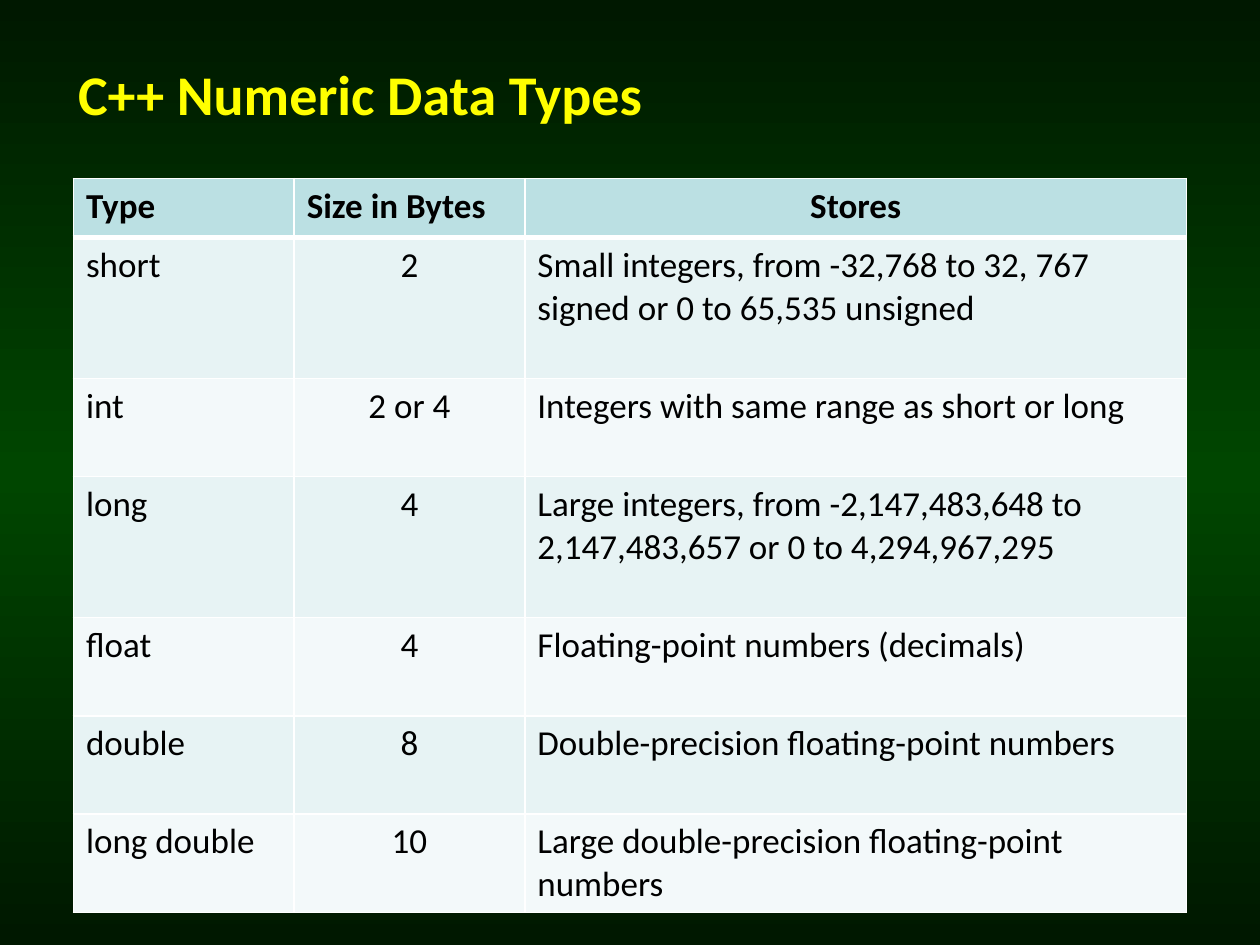
import copy
import dataclasses

import lxml.etree
import pptx
import pptx.dml.color
import pptx.enum.text
import pptx.oxml.ns
import pptx.slide
import pptx.table
import pptx.text.text
import pptx.util

Cm = pptx.util.Cm
Pt = pptx.util.Pt
RGB = pptx.dml.color.RGBColor.from_string
LEFT = pptx.enum.text.PP_ALIGN.LEFT
CENTER = pptx.enum.text.PP_ALIGN.CENTER


@dataclasses.dataclass(frozen=True)
class Theme:
    font: str = "Calibri"
    title_size: int = 32
    table_size: int = 20
    title: str = "FFFF00"
    text: str = "000000"
    header: str = "BBE0E3"
    bands: tuple[str, str] = ("E7F3F4", "F3F9FA")
    border: str = "FFFFFF"
    border_width: int = 1
    header_rule_width: int = 3
    backdrop: tuple[str, str, str] = ("001800", "004600", "001800")


@dataclasses.dataclass(frozen=True)
class DataType:
    name: str
    size: str
    stores: tuple[str, ...]
    height: float = 1.98


THEME = Theme()
HEADINGS = (("Type", LEFT), ("Size in Bytes", LEFT), ("Stores", CENTER))
HEADER_HEIGHT = 1.19
COLUMN_WIDTHS = (4.45, 4.65, 13.34)
DATA_TYPES = (
    DataType("short", "2",
             ("Small integers, from -32,768 to 32, 767 signed or 0 to 65,535 unsigned",), 2.84),
    DataType("int", "2 or 4", ("Integers with same range as short or long",)),
    DataType("long", "4",
             ("Large integers, from -2,147,483,648 to",
              "2,147,483,657 or 0 to 4,294,967,295"), 2.84),
    DataType("float", "4", ("Floating-point numbers (decimals)",)),
    DataType("double", "8", ("Double-precision floating-point numbers",)),
    DataType("long double", "10", ("Large double-precision floating-point numbers",)),
)


def write(frame: pptx.text.text.TextFrame, lines: tuple[str, ...], size: int,
          color: str, bold: bool, align: pptx.enum.text.PP_ALIGN) -> None:
    for index, line in enumerate(lines):
        paragraph = frame.add_paragraph() if index else frame.paragraphs[0]
        paragraph.alignment = align
        run = paragraph.add_run()
        run.text = line
        run.font.name = THEME.font
        run.font.size = Pt(size)
        run.font.bold = bold
        run.font.color.rgb = RGB(color)


def paint_backdrop(slide: pptx.slide.Slide) -> None:
    fill = slide.background.fill
    fill.gradient()
    fill.gradient_angle = 90
    stops = next(slide.element.iter(pptx.oxml.ns.qn("a:gsLst")))
    stops.append(copy.deepcopy(stops[-1]))
    for stop, color, position in zip(fill.gradient_stops, THEME.backdrop, (0, 0.5, 1)):
        stop.color.rgb = RGB(color)
        stop.position = position


def add_border(cell: pptx.table._Cell, side: str, width: int) -> None:
    qn = pptx.oxml.ns.qn
    properties = cell._tc.get_or_add_tcPr()
    line = lxml.etree.SubElement(properties, qn(f"a:ln{side}"), w=str(Pt(width)))
    solid = lxml.etree.SubElement(line, qn("a:solidFill"))
    lxml.etree.SubElement(solid, qn("a:srgbClr"), val=THEME.border)


def fill_cell(cell: pptx.table._Cell, lines: tuple[str, ...], row: int,
              align: pptx.enum.text.PP_ALIGN) -> None:
    is_header = row == 0
    write(cell.text_frame, lines, THEME.table_size, THEME.text, is_header, align)
    for side in "LRTB":
        on_header_rule = (row, side) in ((0, "B"), (1, "T"))
        add_border(cell, side, THEME.header_rule_width if on_header_rule else THEME.border_width)
    cell.fill.solid()
    cell.fill.fore_color.rgb = RGB(THEME.header if is_header else THEME.bands[(row - 1) % 2])


def add_title(slide: pptx.slide.Slide) -> None:
    frame = slide.shapes.add_textbox(Cm(1.27), Cm(1.07), Cm(11.99), Cm(1.62)).text_frame
    frame.word_wrap = False
    frame.auto_size = pptx.enum.text.MSO_AUTO_SIZE.SHAPE_TO_FIT_TEXT
    write(frame, ("C++ Numeric Data Types",), THEME.title_size, THEME.title, True, CENTER)


def add_type_table(slide: pptx.slide.Slide) -> None:
    heights = (HEADER_HEIGHT, *(data_type.height for data_type in DATA_TYPES))
    table = slide.shapes.add_table(
        len(heights), len(COLUMN_WIDTHS), Cm(1.48), Cm(3.6),
        Cm(sum(COLUMN_WIDTHS)), Cm(sum(heights))).table
    for column, width in zip(table.columns, COLUMN_WIDTHS):
        column.width = Cm(width)
    for table_row, height in zip(table.rows, heights):
        table_row.height = Cm(height)
    for column, (heading, align) in enumerate(HEADINGS):
        fill_cell(table.cell(0, column), (heading,), 0, align)
    for row, data_type in enumerate(DATA_TYPES, start=1):
        fill_cell(table.cell(row, 0), (data_type.name,), row, LEFT)
        fill_cell(table.cell(row, 1), (data_type.size,), row, CENTER)
        fill_cell(table.cell(row, 2), data_type.stores, row, LEFT)


def main() -> None:
    presentation = pptx.Presentation()
    presentation.slide_width = Cm(25.4)
    presentation.slide_height = Cm(19.05)
    slide = presentation.slides.add_slide(presentation.slide_layouts[6])
    paint_backdrop(slide)
    add_type_table(slide)
    add_title(slide)
    presentation.save("out.pptx")


if __name__ == "__main__":
    main()
